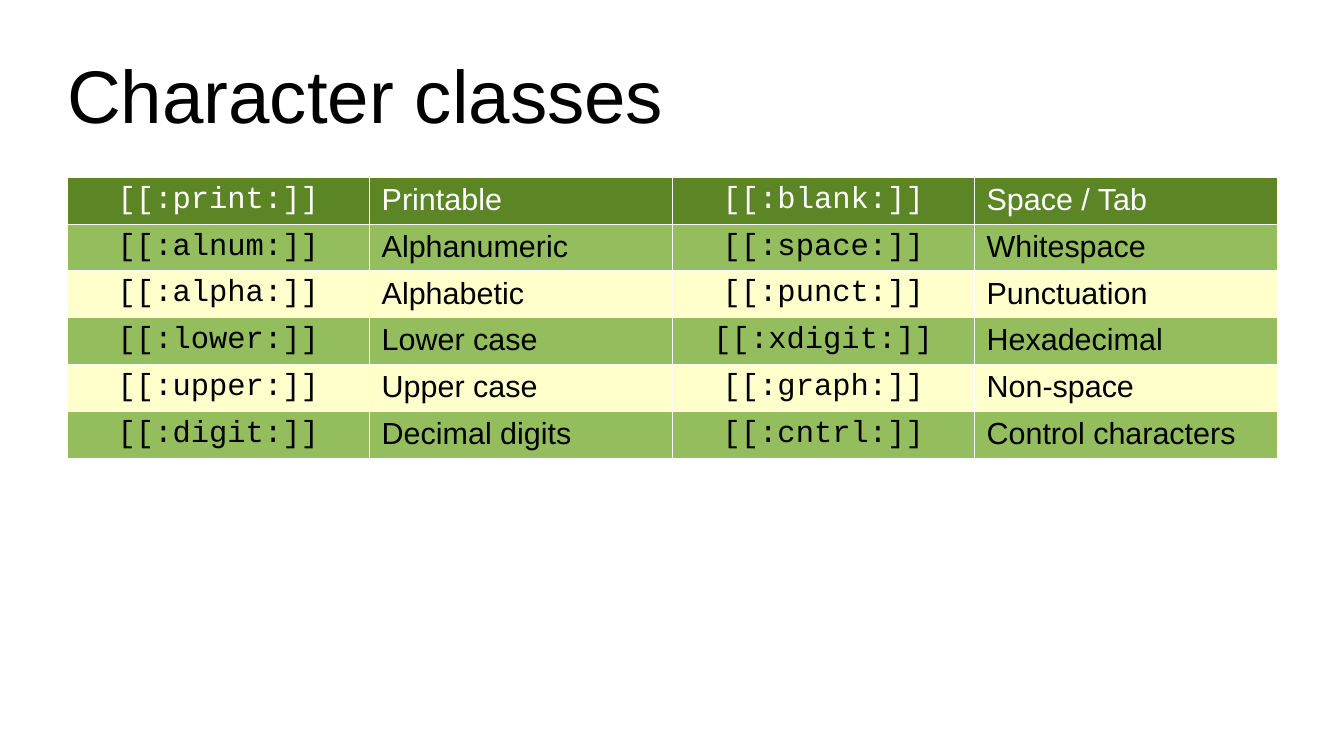
from lxml.etree import SubElement
from pptx import Presentation
from pptx.dml.color import RGBColor
from pptx.enum.text import MSO_ANCHOR as Anchor, PP_ALIGN as Align
from pptx.oxml.ns import qn
from pptx.util import Inches, Pt

BLACK = RGBColor(0x00, 0x00, 0x00)
WHITE = RGBColor(0xFF, 0xFF, 0xFF)
DARK = RGBColor(0x5C, 0x85, 0x26)
GREEN = RGBColor(0x94, 0xBD, 0x5E)
CREAM = RGBColor(0xFF, 0xFF, 0xCC)

LEFT, WIDTH = 0.55, 9.92
ROWS = [
    ("print", "Printable", "blank", "Space / Tab"),
    ("alnum", "Alphanumeric", "space", "Whitespace"),
    ("alpha", "Alphabetic", "punct", "Punctuation"),
    ("lower", "Lower case", "xdigit", "Hexadecimal"),
    ("upper", "Upper case", "graph", "Non-space"),
    ("digit", "Decimal digits", "cntrl", "Control characters"),
]


class Deck:
    """Holds the style and the current slide."""
    sans, mono = "Arial", "Courier New"

    def __init__(self, width, height):
        self.file = Presentation()
        self.file.slide_width = Inches(width)
        self.file.slide_height = Inches(height)
        self.slide = self.file.slides.add_slide(self.file.slide_layouts[5])

    def label(self, frame, text, size, color, font, align=Align.LEFT):
        frame.text = text
        para = frame.paragraphs[0]
        para.alignment = align
        for run in para.runs:
            run.font.name, run.font.size = font, Pt(size)
            run.font.color.rgb, run.font.bold = color, False

    def title(self, text, left, top, width, height):
        shape = self.slide.shapes.title
        shape.left, shape.top = Inches(left), Inches(top)
        shape.width, shape.height = Inches(width), Inches(height)
        frame = shape.text_frame
        frame.margin_left = frame.margin_right = 0
        frame.margin_top = frame.margin_bottom = 0
        frame.vertical_anchor = Anchor.MIDDLE
        self.label(frame, text, 44, BLACK, self.sans)

    def edge(self, cell, color, width):
        props = cell._tc.get_or_add_tcPr()
        for side in ("lnL", "lnR", "lnT", "lnB"):
            line = SubElement(props, qn(f"a:{side}"), w=str(Pt(width)))
            fill = SubElement(line, qn("a:solidFill"))
            SubElement(fill, qn("a:srgbClr"), val=str(color))

    def table(self, rows, left, top, width, step):
        cols = len(rows[0])
        grid = self.slide.shapes.add_table(
            len(rows), cols, Inches(left), Inches(top),
            Inches(width), Inches(step * len(rows))).table
        grid.first_row = grid.horz_banding = False
        for col in grid.columns:
            col.width = Inches(width / cols)
        for r, row in enumerate(rows):
            grid.rows[r].height = Inches(step)
            # Dark header, then alternating bands
            back = DARK if r == 0 else GREEN if r % 2 else CREAM
            ink = BLACK if r else WHITE
            for c, text in enumerate(row):
                cell = grid.cell(r, c)
                self.edge(cell, WHITE, 0.06)
                cell.fill.solid()
                cell.fill.fore_color.rgb = back
                # Class names alternate with their meanings
                if c % 2:
                    self.label(cell.text_frame, text, 18, ink, self.sans)
                else:
                    self.label(cell.text_frame, f"[[:{text}:]]", 18, ink,
                               self.mono, Align.CENTER)


def main():
    deck = Deck(11.02, 6.2)
    # Heading
    deck.title("Character classes", LEFT, 0.25, WIDTH, 1.04)
    # Class table
    deck.table(ROWS, LEFT, 1.45, WIDTH, 0.38)
    deck.file.save("out.pptx")


if __name__ == "__main__":
    main()
